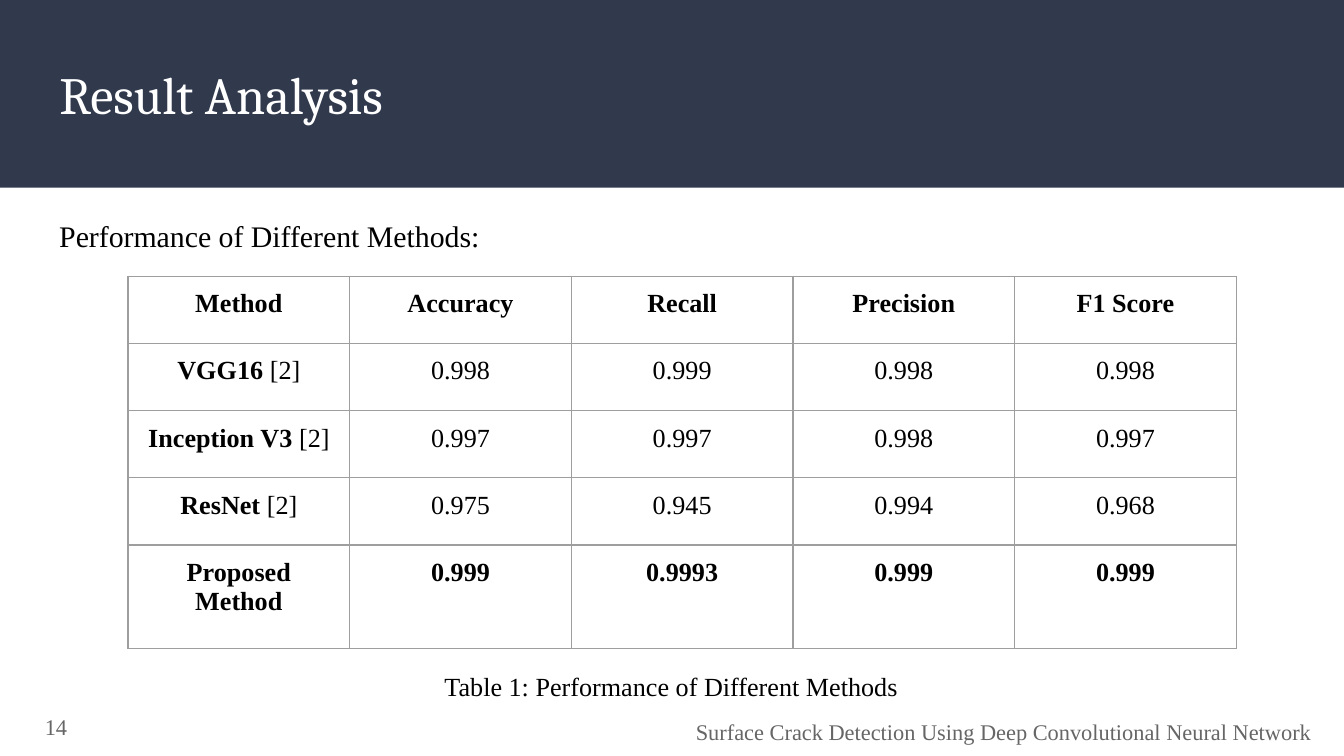
import lxml.etree
import pptx
import pptx.dml.color
import pptx.enum.shapes
import pptx.enum.text
import pptx.oxml.ns
import pptx.util

Cm = pptx.util.Cm
ALIGN = pptx.enum.text.PP_ALIGN
ANCHOR = pptx.enum.text.MSO_ANCHOR

NAVY, WHITE, BLACK, GREY, RULE = "31394D", "FFFFFF", "000000", "666666", "9E9E9E"
INSET = Cm(0.25)

HEADERS = ["Method", "Accuracy", "Recall", "Precision", "F1 Score"]
RESULTS = [
    ("VGG16", " [2]", ["0.998", "0.999", "0.998", "0.998"]),
    ("Inception V3", " [2]", ["0.997", "0.997", "0.998", "0.997"]),
    ("ResNet", " [2]", ["0.975", "0.945", "0.994", "0.968"]),
    ("Proposed Method", "", ["0.999", "0.9993", "0.999", "0.999"]),
]


def color(hex_string):
    return pptx.dml.color.RGBColor.from_string(hex_string)


def add_span(para, text, size=14, font="Times New Roman", fill=BLACK, bold=False,
             align=ALIGN.LEFT):
    para.alignment = align
    span = para.add_run()
    span.text = text
    span.font.size = pptx.util.Pt(size)
    span.font.name = font
    span.font.bold = bold
    span.font.color.rgb = color(fill)


def set_margins(holder):
    """Give a text frame or a table cell the same inset on every side."""
    holder.margin_left = holder.margin_right = INSET
    holder.margin_top = holder.margin_bottom = INSET


def add_text(page, box, text, anchor=ANCHOR.TOP, **style):
    frame = page.shapes.add_textbox(*map(Cm, box)).text_frame
    frame.word_wrap = True
    frame.vertical_anchor = anchor
    set_margins(frame)
    add_span(frame.paragraphs[0], text, **style)


def add_header(page, box, text):
    left, top, width, height = box
    band = page.shapes.add_shape(pptx.enum.shapes.MSO_SHAPE.RECTANGLE, *map(Cm, box))
    band.shadow.inherit = False
    band.fill.solid()
    band.fill.fore_color.rgb = color(NAVY)
    band.line.fill.background()

    title = page.shapes.title
    page.shapes._spTree.append(title._element)  # bring the title in front of the band
    title.left, title.top = Cm(left + 0.87), Cm(top + 0.9)
    title.width, title.height = Cm(width - 1.74), Cm(1.73)
    frame = title.text_frame
    frame.auto_size = pptx.enum.text.MSO_AUTO_SIZE.NONE
    frame.vertical_anchor = ANCHOR.MIDDLE
    set_margins(frame)
    add_span(frame.paragraphs[0], text, size=28, font="Cambria", fill=WHITE)


def add_borders(cell):
    properties = cell._tc.get_or_add_tcPr()
    qn = pptx.oxml.ns.qn
    for position, side in enumerate(("a:lnL", "a:lnR", "a:lnT", "a:lnB")):
        line = lxml.etree.Element(qn(side), w=str(pptx.util.Pt(0.75)))
        fill = lxml.etree.SubElement(line, qn("a:solidFill"))
        lxml.etree.SubElement(fill, qn("a:srgbClr"), val=RULE)
        properties.insert(position, line)


def add_results(page, box, last_height):
    """Place the table; all rows but the last share the remaining height."""
    left, top, width, height = box
    row_count, column_count = len(RESULTS) + 1, len(HEADERS)
    table = page.shapes.add_table(row_count, column_count, *map(Cm, box)).table
    table.first_row = table.horz_banding = False
    for column in table.columns:
        column.width = Cm(width / column_count)
    for row in table.rows:
        row.height = Cm((height - last_height) / (row_count - 1))
    table.rows[row_count - 1].height = Cm(last_height)

    rows = [[[(text, True)] for text in HEADERS]]
    for method, citation, scores in RESULTS:
        proposed = not citation
        name = [(method, True)] + ([] if proposed else [(citation, False)])
        rows.append([name] + [[(score, proposed)] for score in scores])

    for r, row in enumerate(rows):
        for c, spans in enumerate(row):
            cell = table.cell(r, c)
            set_margins(cell)
            cell.fill.background()
            add_borders(cell)
            para = cell.text_frame.paragraphs[0]
            for text, bold in spans:
                add_span(para, text, bold=bold, align=ALIGN.CENTER)


def add_footer(page, box, number, text):
    left, top, width, height = box
    add_text(page, (left, top, 1.52, height), number, anchor=ANCHOR.MIDDLE,
             size=12, fill=GREY, align=ALIGN.RIGHT)
    add_text(page, (left + 1.63, top + 0.15, width - 1.98, height), text,
             size=12, fill=GREY, align=ALIGN.RIGHT)


def main():
    deck = pptx.Presentation()
    deck.slide_width, deck.slide_height = Cm(25.4), Cm(14.29)
    page = deck.slides.add_slide(deck.slide_layouts[5])

    add_header(page, (0, 0, 25.4, 3.55), "Result Analysis")
    add_text(page, (0.87, 3.86, 11.05, 1.19), "Performance of Different Methods:", size=16)
    add_results(page, (2.42, 5.22, 20.95, 7.04), last_height=1.96)
    add_text(page, (2.64, 12.42, 20.1, 1.12), "Table 1: Performance of Different Methods",
             align=ALIGN.CENTER)
    add_footer(page, (0, 13.18, 25.4, 1.1), "14",
               "Surface Crack Detection Using Deep Convolutional Neural Network")
    deck.save("out.pptx")


if __name__ == "__main__":
    main()
